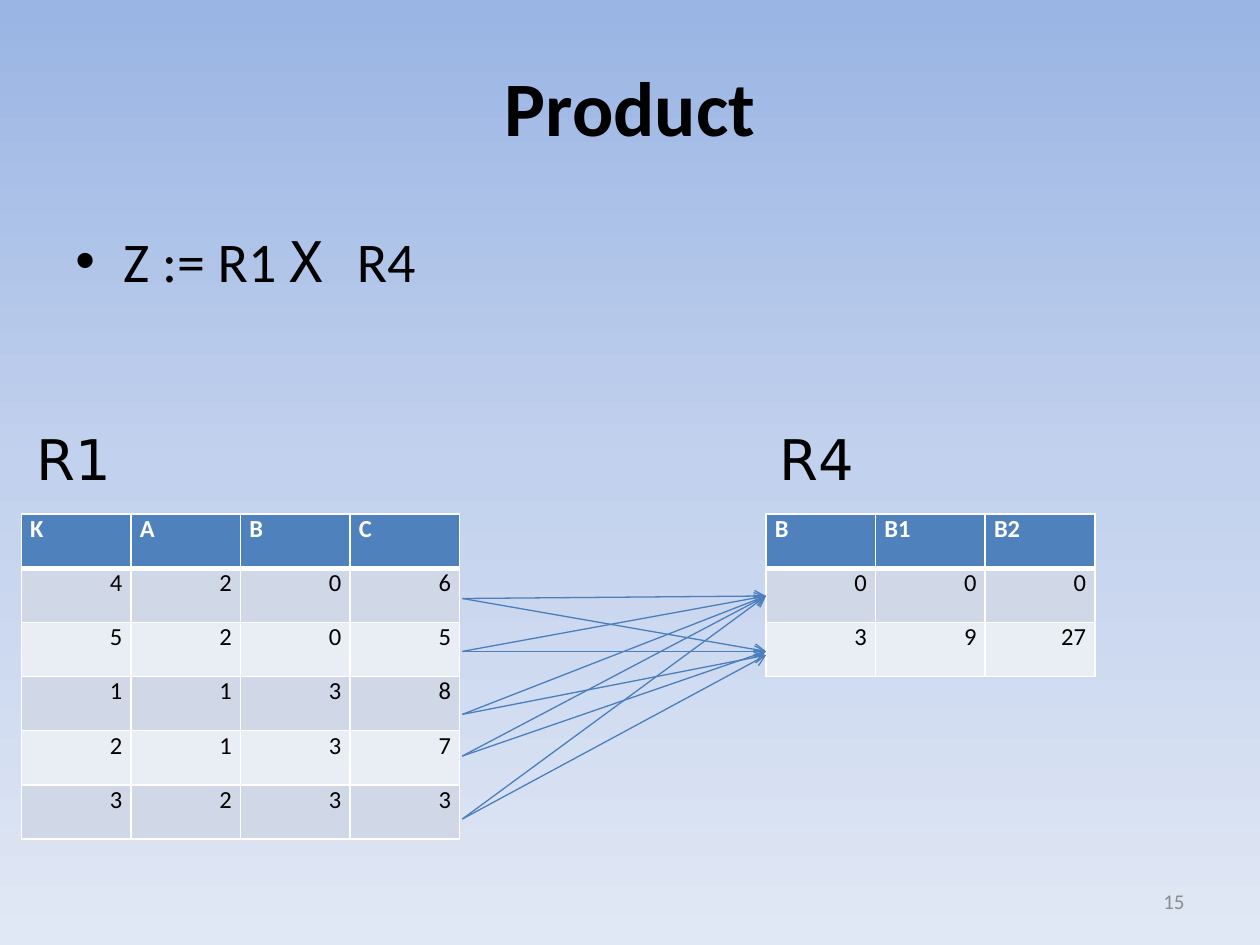
from copy import deepcopy

from lxml import etree
from pptx import Presentation
from pptx.dml.color import RGBColor
from pptx.enum.shapes import MSO_CONNECTOR
from pptx.enum.text import MSO_ANCHOR, MSO_AUTO_SIZE, PP_ALIGN
from pptx.oxml.ns import qn
from pptx.util import Inches, Pt

STRAIGHT = MSO_CONNECTOR.STRAIGHT
LEFT, CENTER, RIGHT = PP_ALIGN.LEFT, PP_ALIGN.CENTER, PP_ALIGN.RIGHT
TOP, MIDDLE = MSO_ANCHOR.TOP, MSO_ANCHOR.MIDDLE

WIDTH, HEIGHT = 10, 7.5
MARGIN = 0.05 * WIDTH
CONTENT_WIDTH = WIDTH - 2 * MARGIN
COLUMN, ROW = 0.87, 0.43
TABLE_TOP = 4.08
LABEL_TOP = 3.32
R1_LEFT, R4_LEFT = 0.17, 6.08
ARROW_LEFT = 3.67

COLORS = {
    "text": "000000", "number": "8C8C8C", "white": "FFFFFF",
    "header": "4F81BD", "odd": "D0D8E8", "even": "E9EDF4", "arrow": "4B7EBC",
}
BACKGROUND = [(0, "9AB5E4"), (0.5, "C2D1ED"), (1, "E1E8F5")]
R1 = ["KABC", "4206", "5205", "1138", "2137", "3233"]
R4 = [["B", "B1", "B2"], ["0", "0", "0"], ["3", "9", "27"]]
# Height of each R1 row's arrow start, and of its two ends at R4
ARROWS = [
    (4.75, (4.73, 5.17)), (5.17, (4.73, 5.17)), (5.67, (4.73, 5.2)),
    (6, (4.73, 5.17)), (6.5, (4.73, 5.2)),
]


def rgb(name):
    """Return the named palette colour."""
    return RGBColor.from_string(COLORS[name])


def add_run(paragraph, text, color="text", **format_values):
    """Append a run with the given font attributes."""
    run = paragraph.add_run()
    run.text = text
    for attribute, value in format_values.items():
        setattr(run.font, attribute, value)
    run.font.color.rgb = rgb(color)


def set_background(slide):
    """Fill the background with a vertical three-stop gradient."""
    fill = slide.background.fill
    fill.gradient()
    fill.gradient_angle = 270
    stop_list = next(slide.element.iter(qn("a:gsLst")))
    stop_list.insert(1, deepcopy(stop_list[0]))
    for stop, (position, color) in zip(fill.gradient_stops, BACKGROUND):
        stop.position = position
        stop.color.rgb = RGBColor.from_string(color)


def place_title(slide, text):
    """Position and fill the title placeholder."""
    title = slide.shapes.title
    box = {"left": MARGIN, "top": 0.17, "width": CONTENT_WIDTH, "height": 1.33}
    for attribute, value in box.items():
        setattr(title, attribute, Inches(value))
    title.text_frame.vertical_anchor = MIDDLE
    paragraph = title.text_frame.paragraphs[0]
    paragraph.alignment = CENTER
    add_run(paragraph, text, name="Calibri", size=Pt(44), bold=True)


def add_text(slide, box, runs, size, color="text", align=LEFT, anchor=TOP):
    """Add a text box of (text, font) runs and return its paragraph."""
    shape = slide.shapes.add_textbox(*map(Inches, box))
    frame = shape.text_frame
    values = {"word_wrap": True, "auto_size": MSO_AUTO_SIZE.NONE, "vertical_anchor": anchor}
    for attribute, value in values.items():
        setattr(frame, attribute, value)
    paragraph = frame.paragraphs[0]
    paragraph.alignment = align
    for text, font in runs:
        add_run(paragraph, text, color, name=font, size=Pt(size))
    return paragraph


def add_bullet(paragraph, indent):
    """Give a paragraph a round bullet with a hanging indent."""
    paragraph.space_before = Pt(6.4)
    properties = paragraph._p.get_or_add_pPr()
    properties.set("marL", str(Inches(indent)))
    properties.set("indent", str(-Inches(indent)))
    etree.SubElement(properties, qn("a:buFont"), typeface="Arial")
    etree.SubElement(properties, qn("a:buChar"), char="•")


def add_borders(cell, row):
    """Draw white cell borders, thick between header and body."""
    properties = cell._tc.get_or_add_tcPr()
    for side in "LRTB":
        thick = (row, side) in ((0, "B"), (1, "T"))
        line = etree.SubElement(properties, qn("a:ln" + side), w=str(Pt(3 if thick else 1)))
        fill = etree.SubElement(line, qn("a:solidFill"))
        etree.SubElement(fill, qn("a:srgbClr"), val=COLORS["white"])


def format_cell(cell, text, row):
    """Fill in one cell as header or banded body."""
    header = row == 0
    margins = {"margin_left": 0.07, "margin_right": 0.07, "margin_top": 0, "margin_bottom": 0}
    for attribute, value in margins.items():
        setattr(cell, attribute, Inches(value))
    add_borders(cell, row)
    cell.fill.solid()
    cell.fill.fore_color.rgb = rgb("header" if header else "odd" if row % 2 else "even")
    paragraph = cell.text_frame.paragraphs[0]
    paragraph.alignment = LEFT if header else RIGHT
    add_run(paragraph, text, "white" if header else "text",
            name="Calibri", size=Pt(14), bold=header)


def add_relation(slide, name, left, label_left, rows):
    """Add a relation's name above its table."""
    add_text(slide, (label_left, LABEL_TOP, 1.33, 0.64), [(name, "DejaVu Sans")], 32)
    columns = len(rows[0])
    box = (left, TABLE_TOP, columns * COLUMN, len(rows) * ROW)
    table = slide.shapes.add_table(len(rows), columns, *map(Inches, box)).table
    for column in table.columns:
        column.width = Inches(COLUMN)
    for row, values in enumerate(rows):
        table.rows[row].height = Inches(ROW)
        for column, text in enumerate(values):
            format_cell(table.cell(row, column), text, row)


def add_arrow(slide, start_y, end_y):
    """Draw an arrow from R1 to R4."""
    ends = (ARROW_LEFT, start_y, R4_LEFT, end_y)
    connector = slide.shapes.add_connector(STRAIGHT, *map(Inches, ends))
    connector.line.color.rgb = rgb("arrow")
    connector.line.width = Pt(0.75)
    properties = connector._element.spPr
    etree.SubElement(properties.find(qn("a:ln")), qn("a:tailEnd"), type="arrow")
    etree.SubElement(properties, qn("a:effectLst"))


def main():
    """Build and save the slide."""
    presentation = Presentation()
    presentation.slide_width = Inches(WIDTH)
    presentation.slide_height = Inches(HEIGHT)
    slide = presentation.slides.add_slide(presentation.slide_layouts[5])
    set_background(slide)
    place_title(slide, "Product")
    formula = [("Z := R1 ", "Calibri"), ("Χ ", "DejaVu Sans Mono"), ("R4", "Calibri")]
    add_bullet(add_text(slide, (MARGIN, 1.75, CONTENT_WIDTH, 0.75), formula, 32), 0.38)
    add_relation(slide, "R1", R1_LEFT, 0.19, R1)
    add_relation(slide, "R4", R4_LEFT, 6.09, R4)
    for start_y, end_heights in ARROWS:
        for end_y in end_heights:
            add_arrow(slide, start_y, end_y)
    add_text(slide, (7.17, 6.95, 2.33, 0.4), [("15", "Calibri")], 12, "number", RIGHT, MIDDLE)
    presentation.save("out.pptx")


main()
